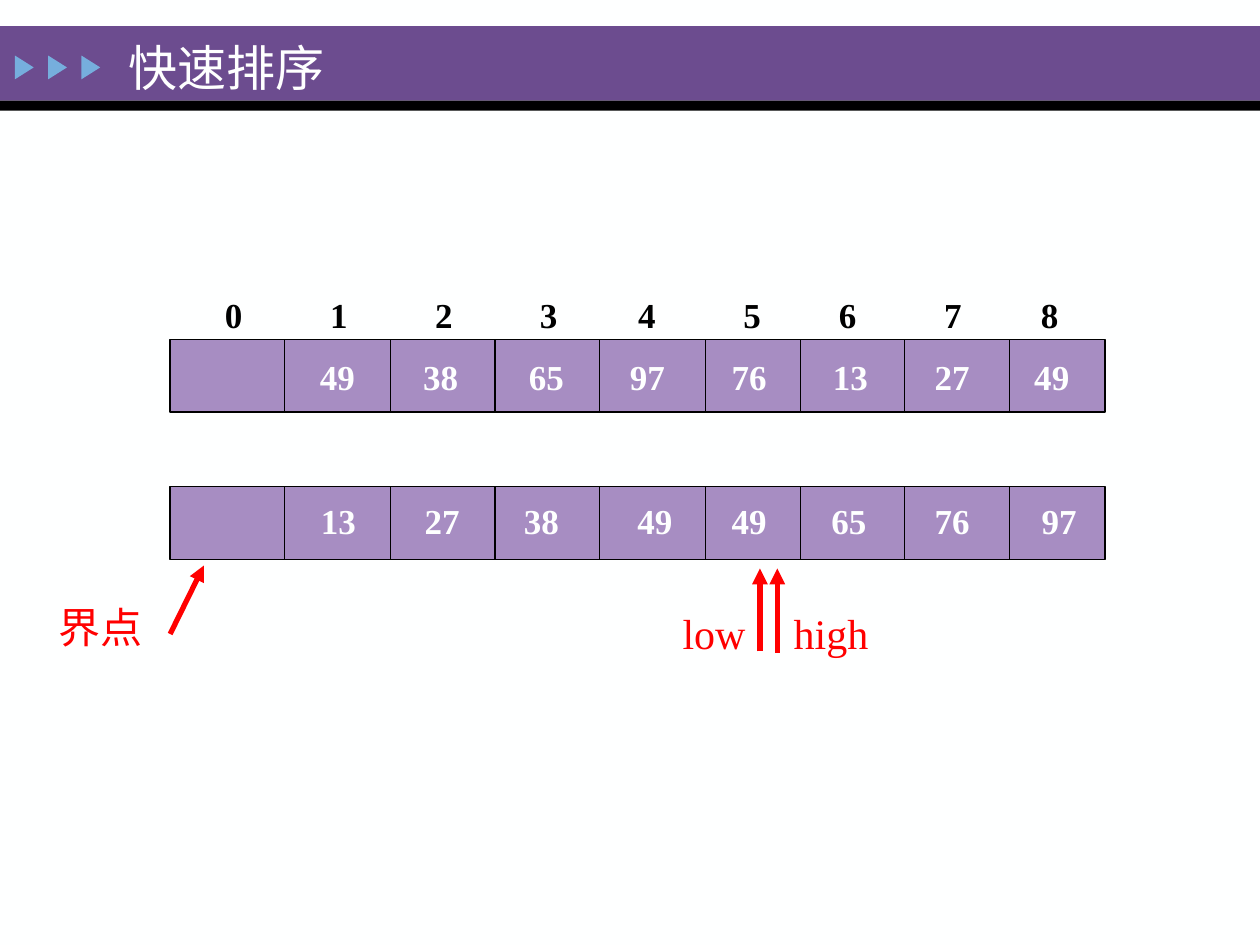
"""Build the quicksort result slide."""
from lxml import etree
from pptx import Presentation
from pptx.dml.color import RGBColor
from pptx.enum import shapes, text
from pptx.oxml import ns
from pptx.util import Cm, Pt

COLORS = {"paper": "FEFFFF", "band": "6C4C8F", "ink": "000000",
          "marker": "76AEDD", "cell": "A78DC2", "pointer": "FF0000"}
FONT = "Times New Roman"
ARRAY_LEFT, ARRAY_WIDTH, ARRAY_HEIGHT = 3.43, 18.85, 1.47
DIVIDERS = [5.74, 7.87, 9.98, 12.09, 14.22, 16.13, 18.24, 20.35]
INDEX_STOPS = [1.03, 3.15, 5.27, 7.38, 9.36, 11.48, 13.41, 15.53, 17.48]
ARRAYS = [
    (6.84, 7.04, {6.2: "49", 8.28: "38", 10.41: "65", 12.45: "97",
                  14.5: "76", 16.54: "13", 18.59: "27", 20.6: "49"}),
    (9.81, 9.94, {6.22: "13", 8.31: "27", 10.31: "38", 12.6: "49",
                  14.5: "49", 16.51: "65", 18.59: "76", 20.75: "97"}),
]
LABELS = [("界点", 0.94, 12.01, 2.46), ("low", 13.51, 12.12, 2.16),
          ("high", 15.75, 12.12, 2.74)]
POINTERS = [(3.43, 12.78, 4.11, 11.4), (15.32, 13.13, 15.32, 11.46),
            (15.67, 13.16, 15.67, 11.46)]


def rgb(name):
    """Return the palette colour with this name."""
    return RGBColor.from_string(COLORS[name])


def set_values(target, values):
    """Set each attribute of the target from a dict."""
    for attribute, value in values.items():
        setattr(target, attribute, value)


def write(holder, words, size, color, bold=False, tab_stops=()):
    """Put one formatted paragraph in a text holder."""
    frame = holder.text_frame
    frame.word_wrap = True
    paragraph = frame.paragraphs[0]
    paragraph.alignment = text.PP_ALIGN.LEFT
    if tab_stops:
        tabs = etree.SubElement(paragraph._p.get_or_add_pPr(), ns.qn("a:tabLst"))
        for stop in tab_stops:
            etree.SubElement(tabs, ns.qn("a:tab"), pos=str(Cm(stop)), algn="ctr")
    run = paragraph.add_run()
    run.text = words
    set_values(run.font, {"name": FONT, "size": Pt(size), "bold": bold})
    run.font.color.rgb = rgb(color)


def add_label(slide, words, box, size, color, **options):
    """Add a text box at a place given in centimetres."""
    label = slide.shapes.add_textbox(*map(Cm, box))
    write(label, words, size, color, **options)


def add_block(slide, kind, box, fill, outline=None):
    """Add a filled preset shape, outlined on request."""
    block = slide.shapes.add_shape(kind, *map(Cm, box))
    block.shadow.inherit = False
    block.fill.solid()
    block.fill.fore_color.rgb = rgb(fill)
    if outline:
        block.line.color.rgb = rgb(outline)
        block.line.width = Pt(0.75)
    else:
        block.line.fill.background()
    return block


def add_line(slide, ends, color, width, arrow=False):
    """Add a straight line, with an arrowhead at its end on request."""
    line = slide.shapes.add_connector(shapes.MSO_CONNECTOR.STRAIGHT, *map(Cm, ends))
    line.line.color.rgb = rgb(color)
    line.line.width = Pt(width)
    if arrow:
        etree.SubElement(line.line._get_or_add_ln(), ns.qn("a:tailEnd"), type="triangle")
    etree.SubElement(line._element.spPr, ns.qn("a:effectLst"))


def add_header(slide):
    """Draw the title band with its markers and place the title on it."""
    rectangle = shapes.MSO_SHAPE.RECTANGLE
    add_block(slide, rectangle, (0, 0.53, 25.4, 1.5), "band")
    add_block(slide, rectangle, (0, 2.03, 25.4, 0.2), "ink")
    for step in range(3):
        marker = add_block(slide, shapes.MSO_SHAPE.ISOSCELES_TRIANGLE,
                           (0.25 + 0.67 * step, 1.17, 0.48, 0.38), "marker")
        marker.rotation = 90
    title = slide.shapes.title
    set_values(title, {"left": Cm(2.34), "top": Cm(0.61),
                       "width": Cm(6.78), "height": Cm(1.47)})
    title.text_frame.vertical_anchor = text.MSO_ANCHOR.MIDDLE
    write(title, "快速排序", 28, "paper")
    title.element.getparent().append(title.element)


def add_array(slide, top, value_top, values):
    """Draw one row of cells and the values in them."""
    add_block(slide, shapes.MSO_SHAPE.RECTANGLE,
              (ARRAY_LEFT, top, ARRAY_WIDTH, ARRAY_HEIGHT), "cell", "ink")
    for x in DIVIDERS:
        add_line(slide, (x, top, x, top + ARRAY_HEIGHT), "ink", 0.75)
    for left, value in values.items():
        add_label(slide, value, (left, value_top, 1.7, 1.09), 20, "paper", bold=True)


def main():
    """Build and save the slide."""
    deck = Presentation()
    set_values(deck, {"slide_width": Cm(25.4), "slide_height": Cm(19.05)})
    slide = deck.slides.add_slide(deck.slide_layouts.get_by_name("Title Only"))
    slide.background.fill.solid()
    slide.background.fill.fore_color.rgb = rgb("paper")
    add_header(slide)
    indices = "".join(f"\t{index}" for index in range(9))
    add_label(slide, indices, (ARRAY_LEFT, 5.79, ARRAY_WIDTH, 1.12), 20, "ink",
              bold=True, tab_stops=INDEX_STOPS)
    for array in ARRAYS:
        add_array(slide, *array)
    for words, left, top, width in LABELS:
        add_label(slide, words, (left, top, width, 1.29), 24, "pointer")
    for ends in POINTERS:
        add_line(slide, ends, "pointer", 3, arrow=True)
    deck.save("out.pptx")


if __name__ == "__main__":
    main()
